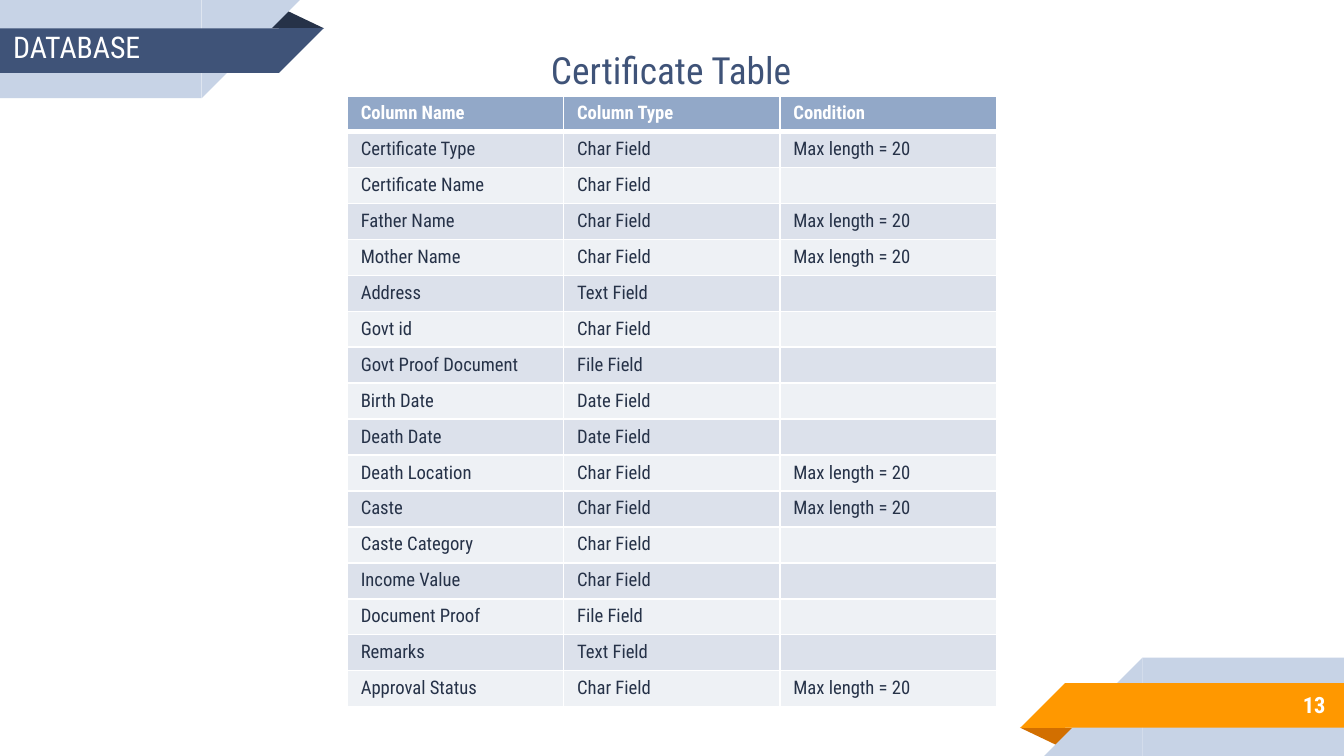
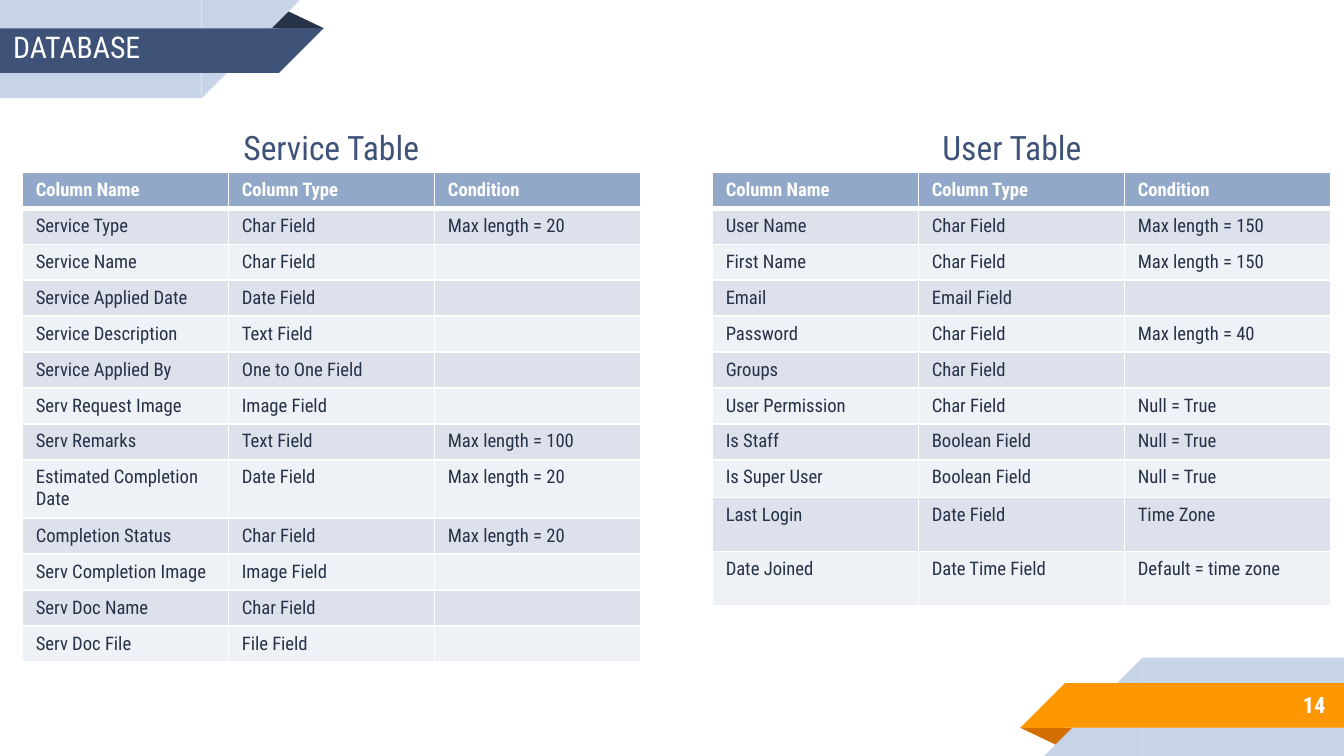
from lxml.etree import SubElement
from pptx import Presentation
from pptx.dml.color import RGBColor
from pptx.enum.shapes import MSO_SHAPE as Shape
from pptx.enum.text import MSO_ANCHOR as Anchor, PP_ALIGN as Align
from pptx.oxml.ns import qn
from pptx.util import Pt

SLIDE_WIDTH, SLIDE_HEIGHT = 720, 405
FONT = "Roboto Condensed"
WHITE, INK, NAVY, PALE = "FFFFFF", "263248", "3F5378", "C7D3E6"
ORANGE, RUST = "FF9800", "D26F00"
HEADER_FILL, ODD_FILL, EVEN_FILL = "92A8C8", "DCE1EB", "EEF1F5"
SECTION = "DATABASE"
HEADER = ("Column Name", "Column Type", "Condition")
ROW_HEIGHT = 18.9
CELL_SIZE = 10

RIBBON = [
    (Shape.ISOSCELES_TRIANGLE, (142.6, 5.2, 31, 10), "fold"),
    (Shape.RECTANGLE, (0, 0, 108, 52.6), "back"),
    (Shape.RIGHT_TRIANGLE, (108, 0, 52.6, 52.6), "back"),
    (Shape.RECTANGLE, (0, 15.1, 149.4, 23.9), "front"),
    (Shape.RIGHT_TRIANGLE, (149.4, 15.1, 23.9, 23.9), "front"),
]
TOP_COLORS = {"fold": INK, "back": PALE, "front": NAVY}
BOTTOM_COLORS = {"fold": RUST, "back": PALE, "front": ORANGE}

CERTIFICATE_ROWS = [
    ("Certificate Type", "Char Field", "Max length = 20"),
    ("Certificate Name", "Char Field", ""),
    ("Father Name", "Char Field", "Max length = 20"),
    ("Mother Name", "Char Field", "Max length = 20"),
    ("Address", "Text Field", ""),
    ("Govt id", "Char Field", ""),
    ("Govt Proof Document", "File Field", ""),
    ("Birth Date", "Date Field", ""),
    ("Death Date", "Date Field", ""),
    ("Death Location", "Char Field", "Max length = 20"),
    ("Caste", "Char Field", "Max length = 20"),
    ("Caste Category", "Char Field", ""),
    ("Income Value", "Char Field", ""),
    ("Document Proof", "File Field", ""),
    ("Remarks", "Text Field", ""),
    ("Approval Status", "Char Field", "Max length = 20"),
]
SERVICE_ROWS = [
    ("Service Type", "Char Field", "Max length = 20"),
    ("Service Name", "Char Field", ""),
    ("Service Applied Date", "Date Field", ""),
    ("Service Description", "Text Field", ""),
    ("Service Applied By", "One to One Field", ""),
    ("Serv Request Image", "Image Field", ""),
    ("Serv Remarks", "Text Field", "Max length = 100"),
    ("Estimated Completion Date", "Date Field", "Max length = 20"),
    ("Completion Status", "Char Field", "Max length = 20"),
    ("Serv Completion Image", "Image Field", ""),
    ("Serv Doc Name", "Char Field", ""),
    ("Serv Doc File", "File Field", ""),
]
USER_ROWS = [
    ("User Name", "Char Field", "Max length = 150"),
    ("First Name", "Char Field", "Max length = 150"),
    ("Email", "Email Field", ""),
    ("Password", "Char Field", "Max length = 40"),
    ("Groups", "Char Field", ""),
    ("User Permission", "Char Field", "Null = True"),
    ("Is Staff", "Boolean Field", "Null = True"),
    ("Is Super User", "Boolean Field", "Null = True"),
    ("Last Login", "Date Field", "Time Zone"),
    ("Date Joined", "Date Time Field", "Default = time zone"),
]

SLIDES = [
    ("13", [
        {"title": "Certificate Table", "title_box": (152.6, 7.2, 414, 60.5), "title_size": 20,
         "corner": (186.1, 51.3), "column_width": 115.9, "rows": CERTIFICATE_ROWS, "tall": {}},
    ]),
    ("14", [
        {"title": "Service Table", "title_box": (115, 64.4, 125, 29), "title_size": 18,
         "corner": (12, 92.4), "column_width": 110.4, "rows": SERVICE_ROWS, "tall": {8: 30.6}},
        {"title": "User Table", "title_box": (489.6, 64.4, 105, 29), "title_size": 18,
         "corner": (381.6, 92.4), "column_width": 110.4, "rows": USER_ROWS,
         "tall": {8: 20.1, 9: 29, 10: 29}},
    ]),
]


def color(value):
    return RGBColor.from_string(value)


def points(*lengths):
    return [Pt(length) for length in lengths]


def add_run(paragraph, text, size, text_color, bold=False):
    run = paragraph.add_run()
    run.text = text
    run.font.name = FONT
    run.font.size = Pt(size)
    run.font.bold = bold
    run.font.color.rgb = color(text_color)


def add_text(slide, box, text, size, text_color, align=Align.LEFT, bold=False):
    frame = slide.shapes.add_textbox(*points(*box)).text_frame
    frame.word_wrap = True
    frame.vertical_anchor = Anchor.MIDDLE
    frame.margin_left = frame.margin_right = Pt(7.2)
    frame.margin_top = frame.margin_bottom = Pt(7.2)
    paragraph = frame.paragraphs[0]
    paragraph.alignment = align
    add_run(paragraph, text, size, text_color, bold)


def add_ribbon(slide, colors, at_bottom):
    for kind, (left, top, width, height), part in RIBBON:
        if at_bottom:
            left, top = SLIDE_WIDTH - left - width, SLIDE_HEIGHT - top - height
        shape = slide.shapes.add_shape(kind, *points(left, top, width, height))
        shape.shadow.inherit = False
        shape.fill.solid()
        shape.fill.fore_color.rgb = color(colors[part])
        shape.line.fill.background()
        is_fold = part == "fold"
        shape.rotation = 180 if is_fold == at_bottom else 0
        if is_fold:
            shape.adjustments[0] = 0.324
        else:
            shape._element.spPr.xfrm.set("flipH", "1")


def add_borders(cell, row_index):
    properties = cell._tc.get_or_add_tcPr()
    widths = {"lnL": 1, "lnR": 1, "lnT": 3 if row_index == 1 else 1, "lnB": 3 if row_index == 0 else 1}
    for side, width in widths.items():
        line = SubElement(properties, qn(f"a:{side}"), w=str(Pt(width)))
        fill = SubElement(line, qn("a:solidFill"))
        SubElement(fill, qn("a:srgbClr"), val=WHITE)


def fill_cell(cell, text, row_index):
    is_header = row_index == 0
    add_borders(cell, row_index)
    cell.fill.solid()
    cell.fill.fore_color.rgb = color(HEADER_FILL if is_header else ODD_FILL if row_index % 2 else EVEN_FILL)
    paragraph = cell.text_frame.paragraphs[0]
    if text:
        add_run(paragraph, text, CELL_SIZE, WHITE if is_header else INK, is_header)
    else:
        end = SubElement(paragraph._p, qn("a:endParaRPr"), sz=str(CELL_SIZE * 100))
        SubElement(end, qn("a:latin"), typeface=FONT)


def add_schema(slide, schema):
    rows = [HEADER] + schema["rows"]
    heights = [schema["tall"].get(index, ROW_HEIGHT) for index in range(len(rows))]
    width = schema["column_width"]
    box = points(*schema["corner"], width * len(HEADER), sum(heights))
    table = slide.shapes.add_table(len(rows), len(HEADER), *box).table
    for column in table.columns:
        column.width = Pt(width)
    for row_index, values in enumerate(rows):
        table.rows[row_index].height = Pt(heights[row_index])
        for column_index, text in enumerate(values):
            fill_cell(table.cell(row_index, column_index), text, row_index)
    add_text(slide, schema["title_box"], schema["title"], schema["title_size"], NAVY, Align.CENTER)


def main():
    presentation = Presentation()
    presentation.slide_width, presentation.slide_height = points(SLIDE_WIDTH, SLIDE_HEIGHT)
    for number, schemas in SLIDES:
        slide = presentation.slides.add_slide(presentation.slide_layouts[6])
        add_ribbon(slide, TOP_COLORS, False)
        add_ribbon(slide, BOTTOM_COLORS, True)
        add_text(slide, (599.8, 365, 117.4, 25.2), number, 12, WHITE, Align.RIGHT, True)
        add_text(slide, (0, 15.1, 162, 20.2), SECTION, 16, WHITE)
        for schema in schemas:
            add_schema(slide, schema)
    presentation.save("out.pptx")


if __name__ == "__main__":
    main()
